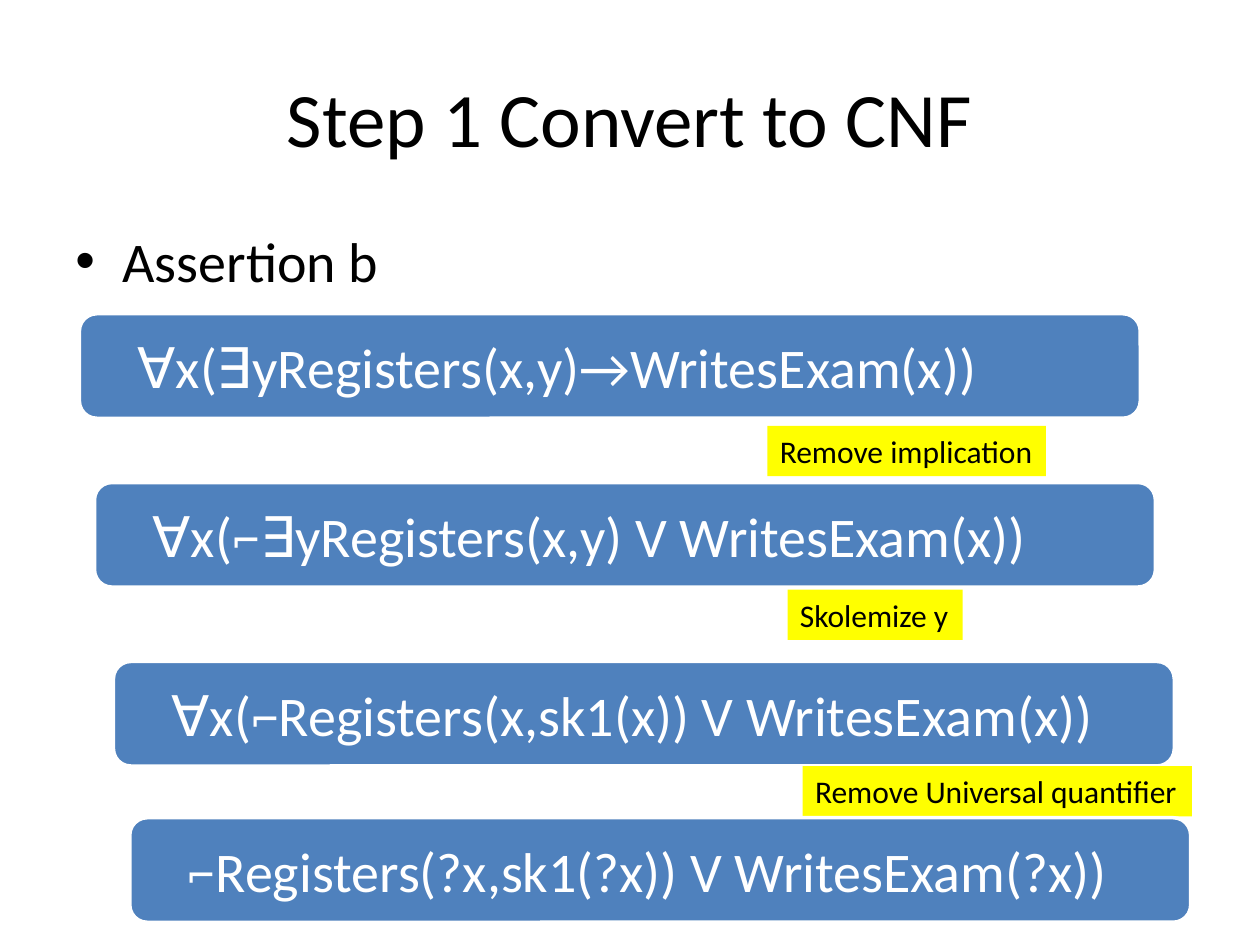
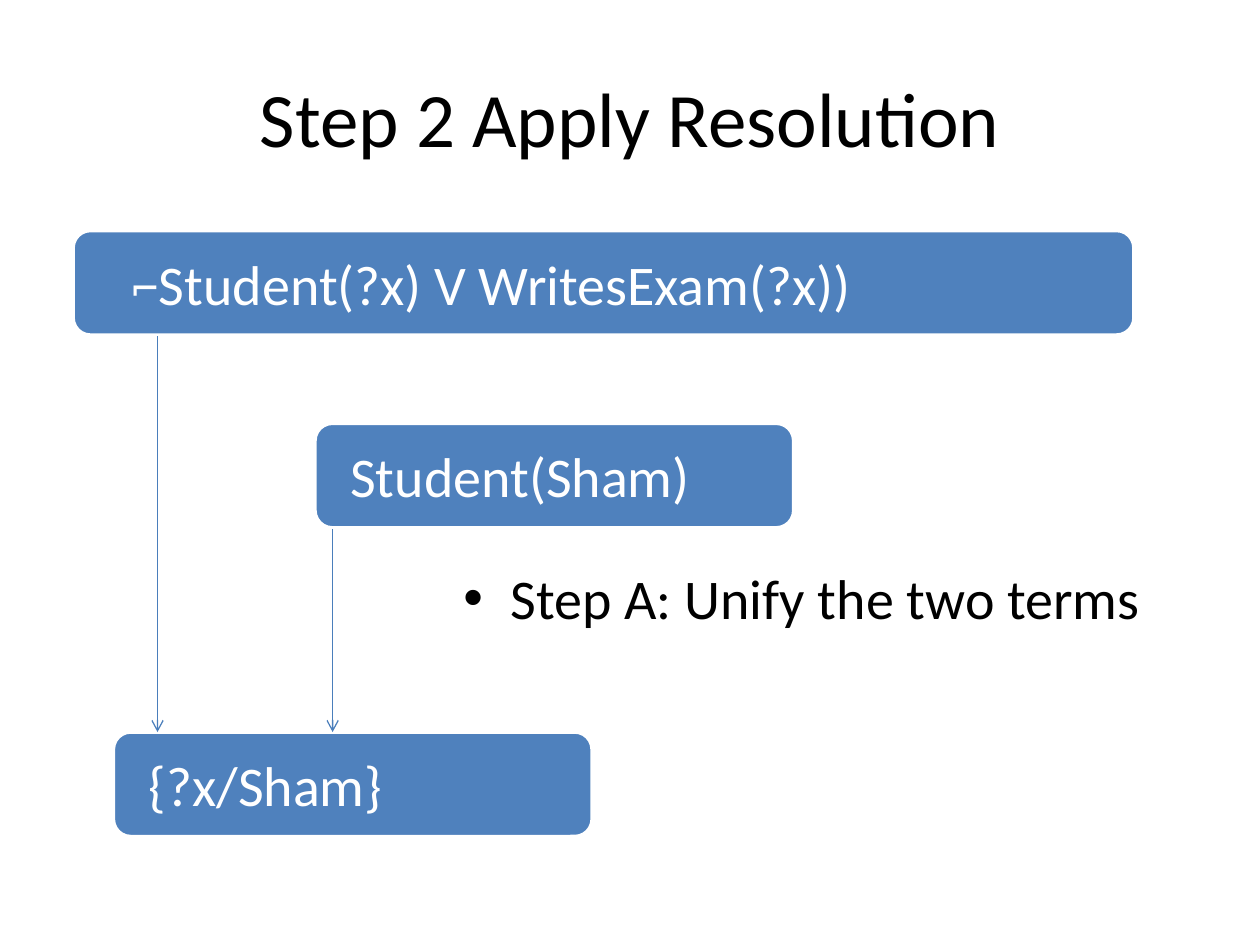
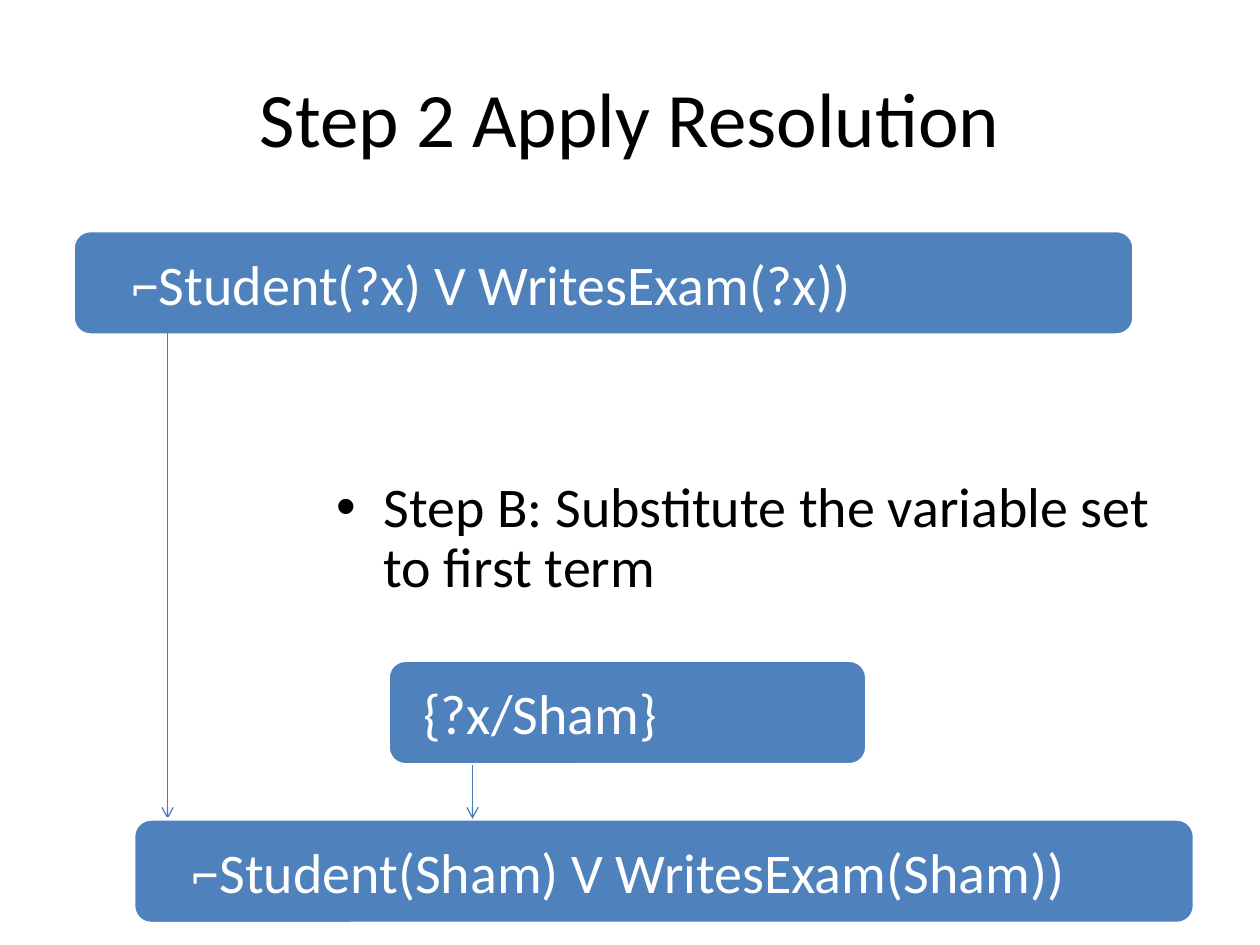
from pptx import Presentation
from pptx.dml.color import RGBColor
from pptx.enum.shapes import MSO_CONNECTOR, MSO_SHAPE
from pptx.enum.text import MSO_ANCHOR, PP_ALIGN
from pptx.oxml.ns import qn
from pptx.util import Inches, Pt
from lxml.etree import SubElement

BLACK = RGBColor(0x00, 0x00, 0x00)
WHITE = RGBColor(0xFF, 0xFF, 0xFF)
BLUE = RGBColor(0x4F, 0x81, 0xBD)
ARROW_BLUE = RGBColor(0x4A, 0x7E, 0xBB)
YELLOW = RGBColor(0xFF, 0xFF, 0x00)
FONT = "Calibri"
COLUMNS, ROWS = 100, 75
WIDE, NARROW, TERM_HEIGHT = 84.2, 38, 8.3
TEXT_INSETS = {WIDE: 4.2, NARROW: 2.4}
FIRST_TERM = "⌐Student(?x) V WritesExam(?x))"
SUBSTITUTION = "{?x/Sham}"


def cells(count):
    """Return the length of a number of grid cells, each a tenth of an inch."""
    return Inches(count / 10)


def area(left, top, width, height):
    """Return a grid area as slide lengths."""
    return [cells(count) for count in (left, top, width, height)]


def write(box, text, size, color, align=PP_ALIGN.LEFT, anchor=MSO_ANCHOR.MIDDLE):
    """Set the text of a box and format it."""
    frame = box.text_frame
    frame.text = text
    frame.word_wrap = True
    frame.vertical_anchor = anchor
    para = frame.paragraphs[0]
    para.alignment = align
    font = para.runs[0].font
    font.name, font.size, font.color.rgb = FONT, Pt(size), color
    return para


def add_page(deck, title):
    """Add a title-only slide with a centred title."""
    page = deck.slides.add_slide(deck.slide_layouts[5])
    box = page.shapes.title
    box.left, box.top, box.width, box.height = area(5, 3, 90, 12.5)
    write(box, title, 44, BLACK, PP_ALIGN.CENTER)
    return page


def add_term(page, text, left, top, width=WIDE):
    """Add a blue rounded bar that holds a logical term."""
    bar = page.shapes.add_shape(MSO_SHAPE.ROUNDED_RECTANGLE, *area(left, top, width, TERM_HEIGHT))
    bar.shadow.inherit = False
    bar.fill.solid()
    bar.fill.fore_color.rgb = BLUE
    bar.line.color.rgb = WHITE
    bar.line.width = Pt(2)
    write(bar, text, 32, WHITE)
    bar.text_frame.margin_left = cells(TEXT_INSETS[width])
    bar.text_frame.margin_right = 0


def add_label(page, text, left, top, width):
    """Add a yellow label that names a conversion step."""
    label = page.shapes.add_shape(MSO_SHAPE.RECTANGLE, *area(left, top, width, 4))
    label.shadow.inherit = False
    label.fill.solid()
    label.fill.fore_color.rgb = YELLOW
    label.line.fill.background()
    write(label, text, 18, BLACK)
    label.text_frame.word_wrap = False


def add_bullet(page, text, left, top, width, height, spacing=1.0):
    """Add a text box with one bulleted paragraph."""
    box = page.shapes.add_textbox(*area(left, top, width, height))
    para = write(box, text, 32, BLACK, anchor=MSO_ANCHOR.TOP)
    para.line_spacing = spacing
    properties = para._p.get_or_add_pPr()
    properties.set("marL", str(cells(3.75)))
    properties.set("indent", str(-cells(3.75)))
    SubElement(properties, qn("a:buFont"), typeface="Arial")
    SubElement(properties, qn("a:buChar"), char="•")


def add_arrow(page, column, top, bottom):
    """Add a thin arrow that points down."""
    x = cells(column)
    arrow = page.shapes.add_connector(MSO_CONNECTOR.STRAIGHT, x, cells(top), x, cells(bottom))
    arrow.line.color.rgb = ARROW_BLUE
    arrow.line.width = Pt(0.75)
    SubElement(arrow.line._get_or_add_ln(), qn("a:tailEnd"), type="arrow")
    SubElement(arrow._element.spPr, qn("a:effectLst"))


def add_conversion(deck):
    """Add the slide that converts an assertion to CNF."""
    page = add_page(deck, "Step 1 Convert to CNF")
    add_bullet(page, "Assertion b", 5, 17.5, 90, 49.5)
    add_term(page, "∀x(∃yRegisters(x,y)→WritesExam(x))", 6.3, 24.9)
    add_label(page, "Remove implication", 60.9, 33.8, 22.1)
    add_term(page, "∀x(⌐∃yRegisters(x,y) V WritesExam(x))", 7.5, 38.3)
    add_label(page, "Skolemize y", 62.5, 46.8, 13.9)
    add_term(page, "∀x(⌐Registers(x,sk1(x)) V WritesExam(x))", 9, 52.5)
    add_label(page, "Remove Universal quantifier", 63.7, 60.8, 30.9)
    add_term(page, "⌐Registers(?x,sk1(?x)) V WritesExam(?x))", 10.3, 64.9)


def add_resolution(deck):
    """Add a resolution slide that opens with the first term."""
    page = add_page(deck, "Step 2 Apply Resolution")
    add_term(page, FIRST_TERM, 5.8, 18.3)
    return page


def add_unification(deck):
    """Add the slide that unifies the two terms."""
    page = add_resolution(deck)
    add_term(page, SUBSTITUTION, 9, 58.1, NARROW)
    add_bullet(page, "Step A: Unify the two terms", 35.8, 44.2, 68.5, 10.8)
    add_term(page, "Student(Sham)", 25, 33.6, NARROW)
    add_arrow(page, 12.5, 26.7, 58.1)
    add_arrow(page, 26.4, 42, 58.1)


def add_substitution(deck):
    """Add the slide that substitutes the variable."""
    page = add_resolution(deck)
    add_term(page, SUBSTITUTION, 30.8, 52.4, NARROW)
    add_bullet(page, "Step B: Substitute the variable set to first term",
               25.7, 37.5, 68.5, 10.8, 0.9)
    add_arrow(page, 13.3, 26.2, 65)
    add_term(page, "⌐Student(Sham) V WritesExam(Sham))", 10.6, 65)
    add_arrow(page, 37.5, 60.7, 65)


def main():
    """Build and save the deck."""
    deck = Presentation()
    deck.slide_width, deck.slide_height = cells(COLUMNS), cells(ROWS)
    add_conversion(deck)
    add_unification(deck)
    add_substitution(deck)
    deck.save("out.pptx")


if __name__ == "__main__":
    main()
